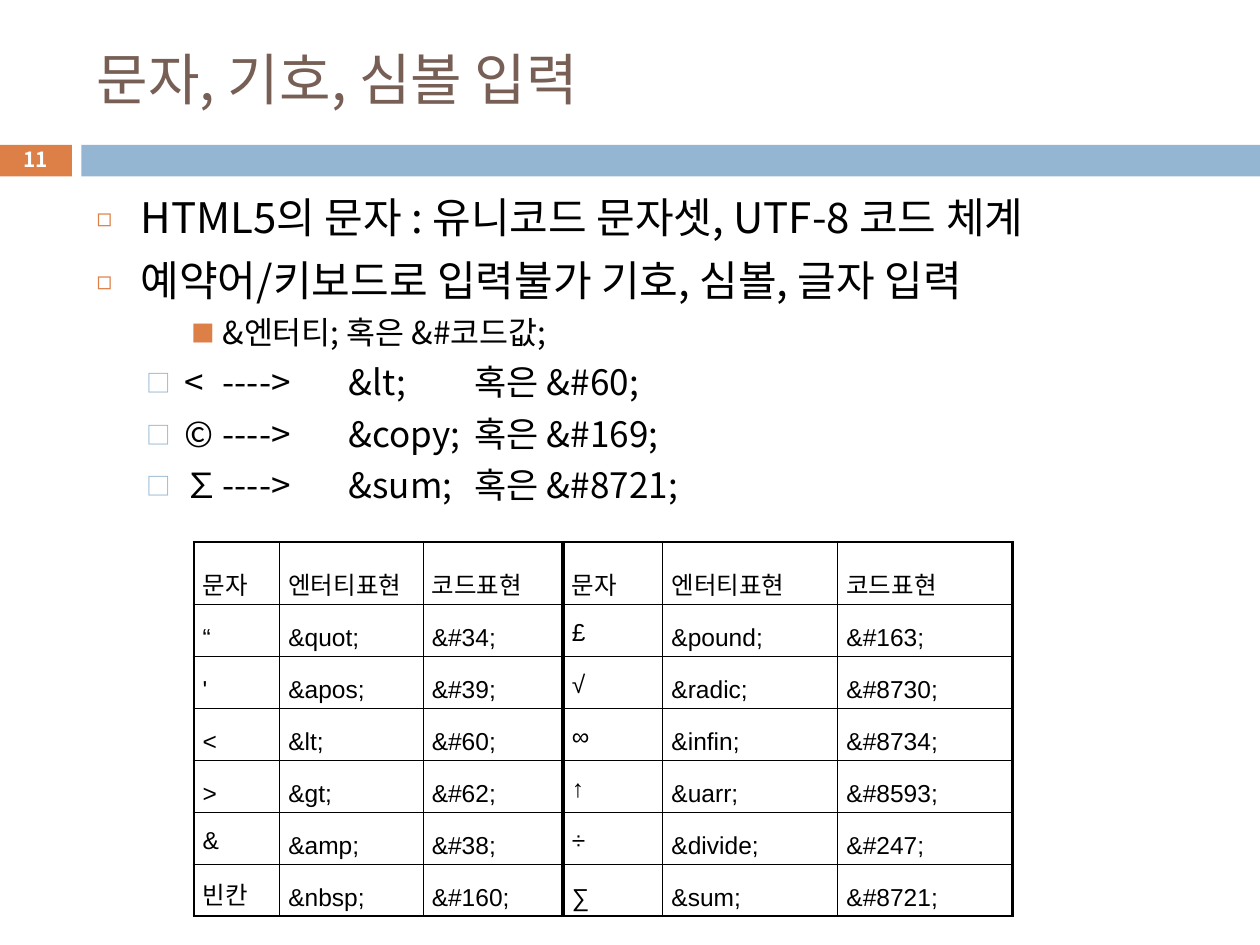
from lxml.etree import SubElement
from pptx import Presentation
from pptx.dml.color import RGBColor
from pptx.enum.shapes import MSO_SHAPE
from pptx.enum.text import MSO_ANCHOR, MSO_AUTO_SIZE, PP_ALIGN
from pptx.oxml.ns import qn
from pptx.util import Pt

BLACK, WHITE = "000000", "FFFFFF"
ORANGE, BLUE, BROWN = "DD8047", "94B6D2", "775F55"
TAB_STOPS = (72, 144, 216)

# Per level: left margin, hanging indent, space before, bullet, colour, bullet %, size
LEVELS = {
    0: (25.2, 25.2, 7, "◻", ORANGE, 60, 24),
    1: (50.4, 21.6, 5.5, "□", BLUE, 70, 20),
    2: (72, 18, 5, "■", ORANGE, 75, 18),
}
BULLETS = [
    (0, "HTML5의 문자 : 유니코드 문자셋, UTF-8 코드 체계"),
    (0, "예약어/키보드로 입력불가 기호, 심볼, 글자 입력"),
    (2, "&엔터티; 혹은 &#코드값;"),
    (1, "< \t---->\t&lt; \t혹은 &#60;"),
    (1, "©\t---->\t&copy; \t혹은 &#169;"),
    (1, "∑\t---->\t&sum; \t혹은 &#8721;"),
]
ENTITY_ROWS = [
    ("문자", "엔터티표현", "코드표현") * 2,
    ("“", "&quot;", "&#34;", "£", "&pound;", "&#163;"),
    ("'", "&apos;", "&#39;", "√", "&radic;", "&#8730;"),
    ("<", "&lt;", "&#60;", "∞", "&infin;", "&#8734;"),
    (">", "&gt;", "&#62;", "↑", "&uarr;", "&#8593;"),
    ("&", "&amp;", "&#38;", "÷", "&divide;", "&#247;"),
    ("빈칸", "&nbsp;", "&#160;", "∑", "&sum;", "&#8721;"),
]
COLUMN_WIDTHS = (49, 82, 80, 57, 100, 100)
ROW_HEIGHTS = (35.5,) + (28,) * 6
TIGHT_CELLS = {(row, 3) for row in range(1, 6)} | {(5, 0), (6, 0)}
THIN, OUTER, MIDDLE = 0.28, 1.5, 2.55


def color(value):
    return RGBColor.from_string(value)


class SlideBuilder:
    font = "Noto Sans CJK KR"
    table_font = "Arial"

    def __init__(self, slide):
        self.slide = slide

    def run(self, paragraph, text, size, fill=BLACK, bold=False, font=None):
        run = paragraph.add_run()
        run.text = text
        run.font.size = Pt(size)
        run.font.bold = bold
        run.font.color.rgb = color(fill)
        run.font.name = font or self.font
        SubElement(run.font._element, qn("a:ea"), typeface=self.font)

    def place(self, shape, left, top, width, height):
        shape.left, shape.top = Pt(left), Pt(top)
        shape.width, shape.height = Pt(width), Pt(height)

    def title(self, text, box):
        shape = self.slide.shapes.title
        self.place(shape, *box)
        frame = shape.text_frame
        frame.auto_size = MSO_AUTO_SIZE.NONE
        frame.vertical_anchor = MSO_ANCHOR.MIDDLE
        frame.paragraphs[0].alignment = PP_ALIGN.LEFT
        self.run(frame.paragraphs[0], text, 32, BROWN)

    def bar(self, fill, box):
        shape = self.slide.shapes.add_shape(MSO_SHAPE.RECTANGLE, *map(Pt, box))
        shape.shadow.inherit = False
        shape.fill.solid()
        shape.fill.fore_color.rgb = color(fill)
        shape.line.fill.background()

    def label(self, text, box):
        frame = self.slide.shapes.add_textbox(*map(Pt, box)).text_frame
        frame.word_wrap = True
        frame.vertical_anchor = MSO_ANCHOR.MIDDLE
        frame.margin_top = frame.margin_bottom = 0
        frame.paragraphs[0].alignment = PP_ALIGN.CENTER
        self.run(frame.paragraphs[0], text, 11.9, WHITE, bold=True)

    def bullets(self, items, box):
        shape = self.slide.placeholders[1]
        self.place(shape, *box)
        frame = shape.text_frame
        frame.auto_size = MSO_AUTO_SIZE.NONE
        for index, (level, text) in enumerate(items):
            margin, hanging, before, mark, mark_color, percent, size = LEVELS[level]
            paragraph = frame.add_paragraph() if index else frame.paragraphs[0]
            paragraph.level = level
            paragraph.space_before = Pt(before if index else 0)
            properties = paragraph._p.get_or_add_pPr()
            properties.set("marL", str(Pt(margin)))
            properties.set("indent", str(-Pt(hanging)))
            mark_fill = SubElement(properties, qn("a:buClr"))
            SubElement(mark_fill, qn("a:srgbClr"), val=mark_color)
            SubElement(properties, qn("a:buSzPct"), val=str(percent * 1000))
            SubElement(properties, qn("a:buFont"), typeface=self.font)
            SubElement(properties, qn("a:buChar"), char=mark)
            if "\t" in text:
                tabs = SubElement(properties, qn("a:tabLst"))
                for stop in TAB_STOPS:
                    SubElement(tabs, qn("a:tab"), pos=str(Pt(stop)), algn="l")
            self.run(paragraph, text, size)

    def borders(self, cell, **widths):
        properties = cell._tc.get_or_add_tcPr()
        for side, width in widths.items():
            line = SubElement(properties, qn(f"a:ln{side}"), w=str(Pt(width)))
            fill = SubElement(line, qn("a:solidFill"))
            SubElement(fill, qn("a:srgbClr"), val=BLACK)

    def table(self, rows, left, top):
        frame = self.slide.shapes.add_table(
            len(rows), len(COLUMN_WIDTHS), Pt(left), Pt(top),
            Pt(sum(COLUMN_WIDTHS)), Pt(sum(ROW_HEIGHTS)))
        table = frame.table
        table.first_row = table.horz_banding = False
        for column, width in zip(table.columns, COLUMN_WIDTHS):
            column.width = Pt(width)
        for row, height in zip(table.rows, ROW_HEIGHTS):
            row.height = Pt(height)
        # Line widths at each column and row edge
        vertical = (OUTER, THIN, THIN, MIDDLE, THIN, THIN, OUTER)
        horizontal = (OUTER,) + (THIN,) * (len(rows) - 1) + (OUTER,)
        for r, texts in enumerate(rows):
            for c, text in enumerate(texts):
                cell = table.cell(r, c)
                cell.vertical_anchor = MSO_ANCHOR.MIDDLE
                cell.margin_left = cell.margin_right = Pt(5.1)
                cell.margin_top = cell.margin_bottom = Pt(1.4)
                self.borders(cell, L=vertical[c], R=vertical[c + 1],
                             T=horizontal[r], B=horizontal[r + 1])
                cell.fill.background()
                paragraph = cell.text_frame.paragraphs[0]
                paragraph.alignment = PP_ALIGN.JUSTIFY
                paragraph.line_spacing = 1.2 if (r, c) in TIGHT_CELLS else 1.6
                self.run(paragraph, text, 14, font=self.table_font)


def main():
    presentation = Presentation()
    presentation.slide_width, presentation.slide_height = Pt(720), Pt(540)
    builder = SlideBuilder(presentation.slides.add_slide(presentation.slide_layouts[1]))

    # Header band and page number
    builder.bar(ORANGE, (-0.7, 82.8, 41.8, 18))
    builder.bar(BLUE, (46.5, 82.8, 673.5, 18))
    builder.label("11", (-0.7, 81.4, 41.8, 19.4))

    # Title and list
    builder.title("문자, 기호, 심볼 입력", (48, 18, 642, 53.5))
    builder.bullets(BULLETS, (48, 105.8, 642, 396.7))

    # Entity table
    builder.table(ENTITY_ROWS, 110.7, 309.7)
    presentation.save("out.pptx")


if __name__ == "__main__":
    main()
